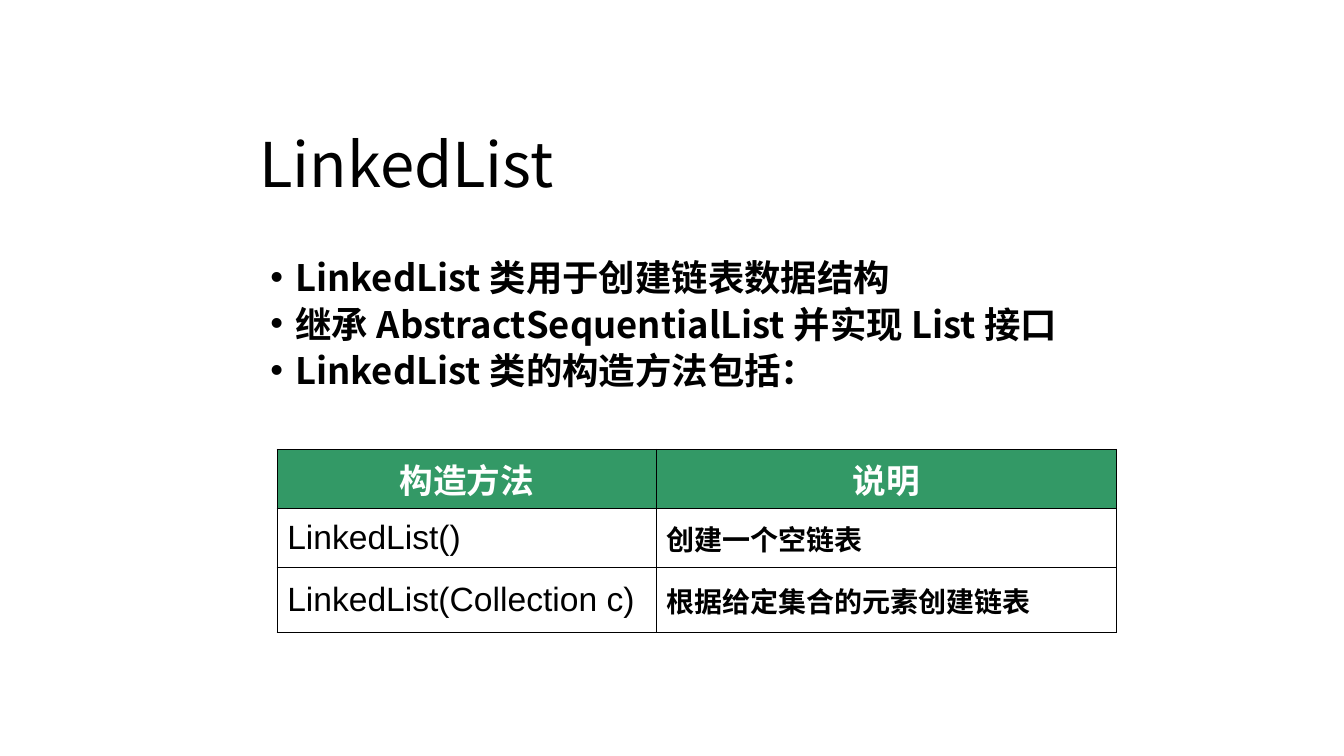
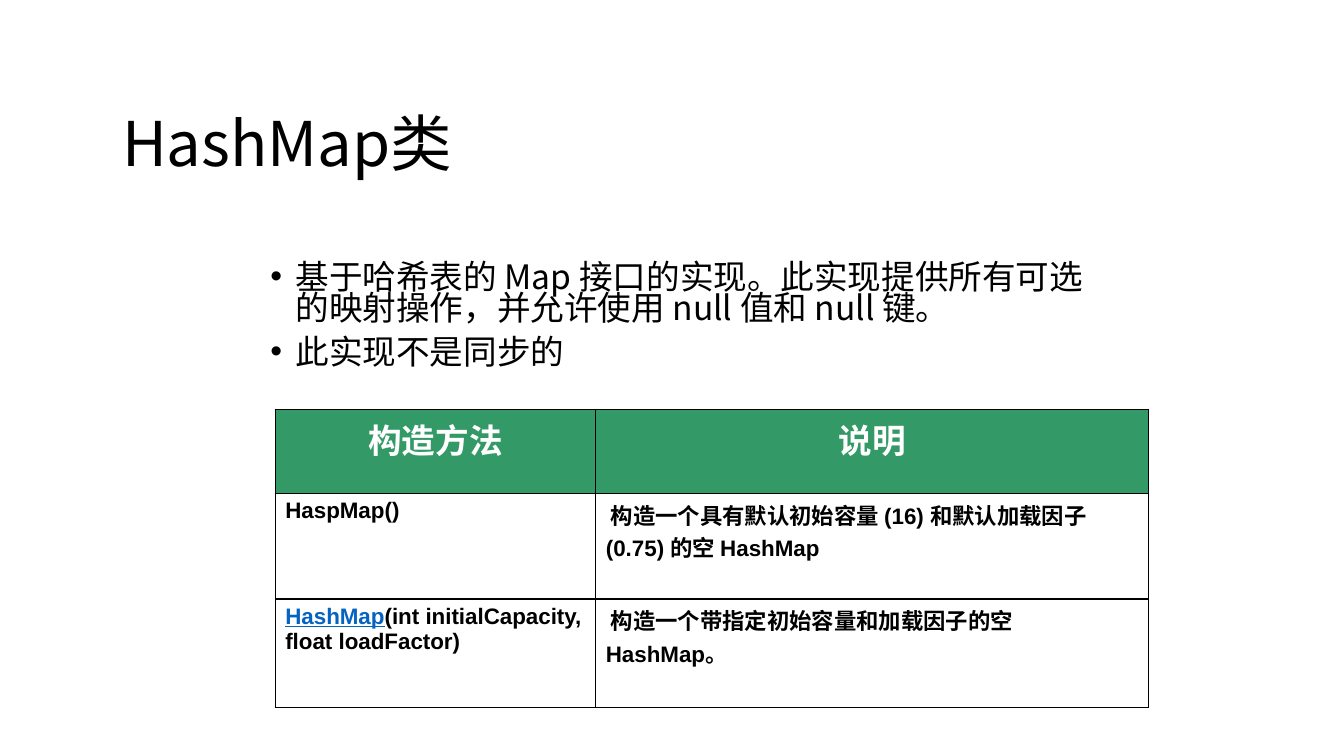
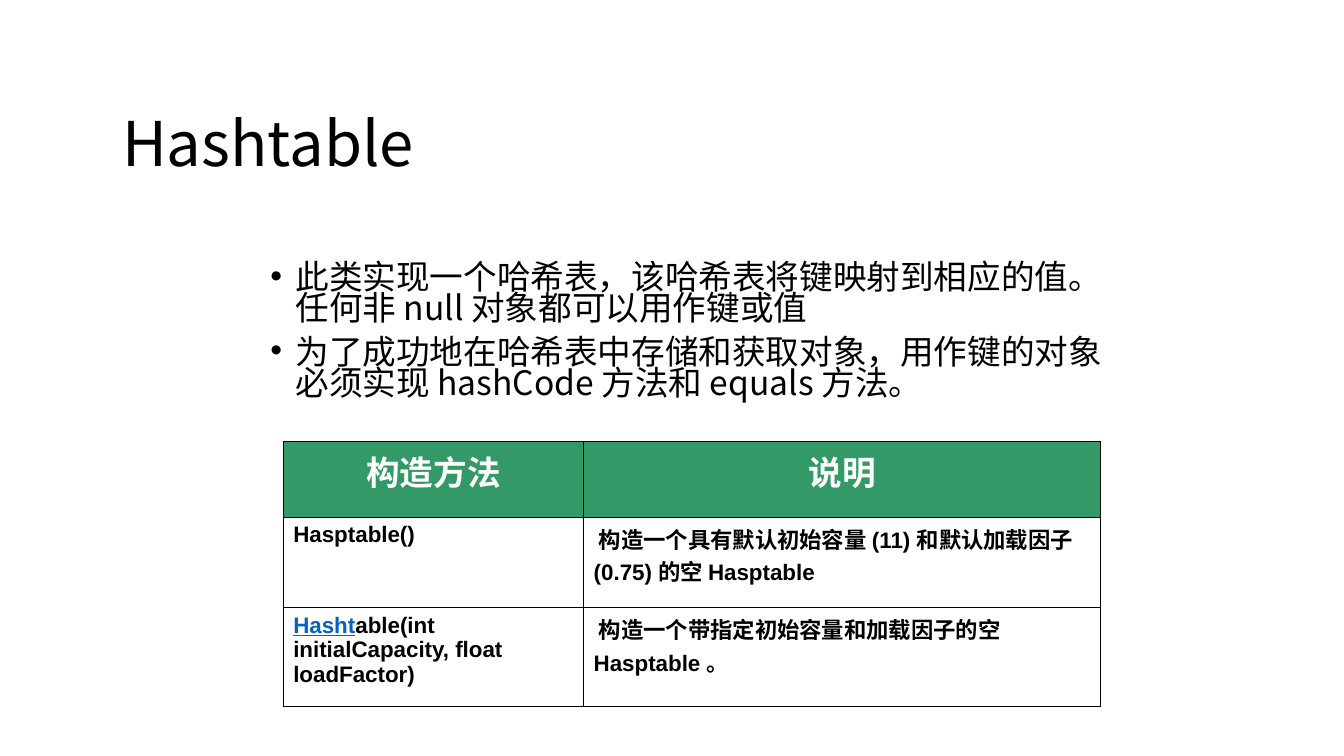
import pptx
import pptx.util
import pptx.dml.color
import pptx.enum.lang
import pptx.enum.text
import pptx.oxml
import pptx.oxml.ns

Pt = pptx.util.Pt
Align = pptx.enum.text.PP_ALIGN
Anchor = pptx.enum.text.MSO_ANCHOR

COLOURS = {"ink": "000000", "paper": "FFFFFF", "header": "339966", "link": "0563C1"}
CJK = "Noto Sans CJK SC"
CJK_TITLE = "Noto Sans CJK JP"
LATIN = "Arial"
TABLE_HEAD = ["构造方法", "说明"]
WIDE_TITLE = (80, 60, 832, 90)


def rgb(name):
    return pptx.dml.color.RGBColor.from_string(COLOURS[name])


def add_span(para, text, size, latin=CJK, asian=CJK, colour="ink", bold=False, underline=False):
    span = para.add_run()
    span.text = text
    font = span.font
    font.size, font.bold, font.underline = Pt(size), bold, underline
    font.name = latin
    font.language_id = pptx.enum.lang.MSO_LANGUAGE_ID.SIMPLIFIED_CHINESE
    font.color.rgb = rgb(colour)
    east_asian = pptx.oxml.parse_xml(
        f'<a:ea {pptx.oxml.ns.nsdecls("a")} typeface="{asian}"/>')
    span._r.rPr.find(pptx.oxml.ns.qn("a:latin")).addnext(east_asian)


def place_title(page, box, text, font=CJK):
    title = page.shapes.title
    title.left, title.top, title.width, title.height = map(Pt, box)
    frame = title.text_frame
    frame.vertical_anchor = Anchor.MIDDLE
    frame.auto_size = pptx.enum.text.MSO_AUTO_SIZE.NONE
    para = frame.paragraphs[0]
    para.alignment = Align.LEFT
    para.line_spacing = 0.9
    add_span(para, text, 44, font, font)


def place_bullets(page, box, lines, size=24, bold=False):
    frame = page.shapes.add_textbox(*map(Pt, box)).text_frame
    frame.word_wrap = True
    for index, line in enumerate(lines):
        para = frame.add_paragraph() if index else frame.paragraphs[0]
        para.line_spacing = 0.76
        para.space_before = Pt(9.5)
        # Hanging bullet
        props = para._p.get_or_add_pPr()
        props.set("marL", str(Pt(18)))
        props.set("indent", str(Pt(-18)))
        for bullet in ('buFont {} typeface="Arial"', 'buChar {} char="•"'):
            props.append(pptx.oxml.parse_xml(
                f'<a:{bullet.format(pptx.oxml.ns.nsdecls("a"))}/>'))
        add_span(para, line, size, bold=bold)


def add_borders(cell):
    props = cell._tc.get_or_add_tcPr()
    for index, side in enumerate(("lnL", "lnR", "lnT", "lnB")):
        props.insert(index, pptx.oxml.parse_xml(
            f'<a:{side} {pptx.oxml.ns.nsdecls("a")} w="{Pt(1)}"><a:solidFill>'
            f'<a:srgbClr val="{COLOURS["ink"]}"/></a:solidFill></a:{side}>'))


def place_table(page, corner, widths, heights, rows, anchor=Anchor.TOP, align=Align.LEFT):
    """Each body cell is a list of (text, style) spans."""
    table = page.shapes.add_table(
        len(heights), len(widths), *map(Pt, (*corner, sum(widths), sum(heights)))).table
    table.first_row = table.horz_banding = False
    for column, width in zip(table.columns, widths):
        column.width = Pt(width)
    head_style = dict(size=24, colour="paper", bold=True)
    head = [[(text, head_style)] for text in TABLE_HEAD]
    for row_index, (height, cells) in enumerate(zip(heights, [head] + rows)):
        table.rows[row_index].height = Pt(height)
        for column_index, spans in enumerate(cells):
            cell = table.cell(row_index, column_index)
            para = cell.text_frame.paragraphs[0]
            if row_index == 0:
                cell.fill.solid()
                cell.fill.fore_color.rgb = rgb("header")
                para.alignment = Align.CENTER
            else:
                cell.fill.background()
                cell.vertical_anchor = anchor
                para.alignment = align
            add_borders(cell)
            for text, style in spans:
                add_span(para, text, latin=LATIN, **style)


def linked_list_page(page):
    place_title(page, (178, 88.5, 648, 62.5), "LinkedList", CJK_TITLE)
    place_bullets(page, (186, 186, 628, 145), [
        "LinkedList 类用于创建链表数据结构",
        "继承 AbstractSequentialList 并实现 List 接口",
        "LinkedList 类的构造方法包括：",
    ], size=26, bold=True)
    code, note = dict(size=24), dict(size=20, bold=True)
    place_table(page, (198, 321), (270.7, 329), (42, 42.5, 46.5), [
        [[("LinkedList()", code)], [("创建一个空链表", note)]],
        [[("LinkedList(Collection c)", code)], [("根据给定集合的元素创建链表", note)]],
    ], Anchor.MIDDLE, Align.JUSTIFY)


def hash_page(page, title, bullets, bullet_box, corner, widths, heights,
              class_name, capacity, link, link_rest, ending):
    place_title(page, WIDE_TITLE, title)
    place_bullets(page, bullet_box, bullets)
    plain = dict(size=16, bold=True)
    linked = dict(plain, colour="link", underline=True)
    # The signature and the leading gap of each note use no-break spaces
    place_table(page, corner, widths, heights, [
        [[(f"{class_name}()", plain)],
         [(f" 构造一个具有默认初始容量 ({capacity}) 和默认加载因子 (0.75) 的空 {class_name if link != 'HashMap' else link}", plain)]],
        [[(link, linked), (f"{link_rest}(int initialCapacity, float loadFactor)", plain)],
         [(f" 构造一个带指定初始容量和加载因子的空 {ending}", plain)]],
    ])


def main():
    deck = pptx.Presentation()
    deck.slide_width, deck.slide_height = Pt(960), Pt(540)
    title_only = deck.slide_layouts[5]

    linked_list_page(deck.slides.add_slide(title_only))
    hash_page(
        deck.slides.add_slide(title_only), "HashMap类",
        ["基于哈希表的 Map 接口的实现。此实现提供所有可选的映射操作，并允许使用 null 值和 null 键。",
         "此实现不是同步的"],
        (186, 186, 617, 112), (196.6, 292.3), (229, 394.6), (60, 75.6, 77.8),
        "HaspMap", 16, "HashMap", "", "HashMap。")
    hash_page(
        deck.slides.add_slide(title_only), "Hashtable",
        ["此类实现一个哈希表，该哈希表将键映射到相应的值。任何非 null 对象都可以用作键或值",
         "为了成功地在哈希表中存储和获取对象，用作键的对象必须实现 hashCode 方法和 equals 方法。"],
        (186, 186, 611, 130), (202.3, 315.4), (214.6, 369.4), (54, 64.8, 70.6),
        "Hasptable", 11, "Hasht", "able", "Hasptable 。")
    deck.save("out.pptx")


if __name__ == "__main__":
    main()
